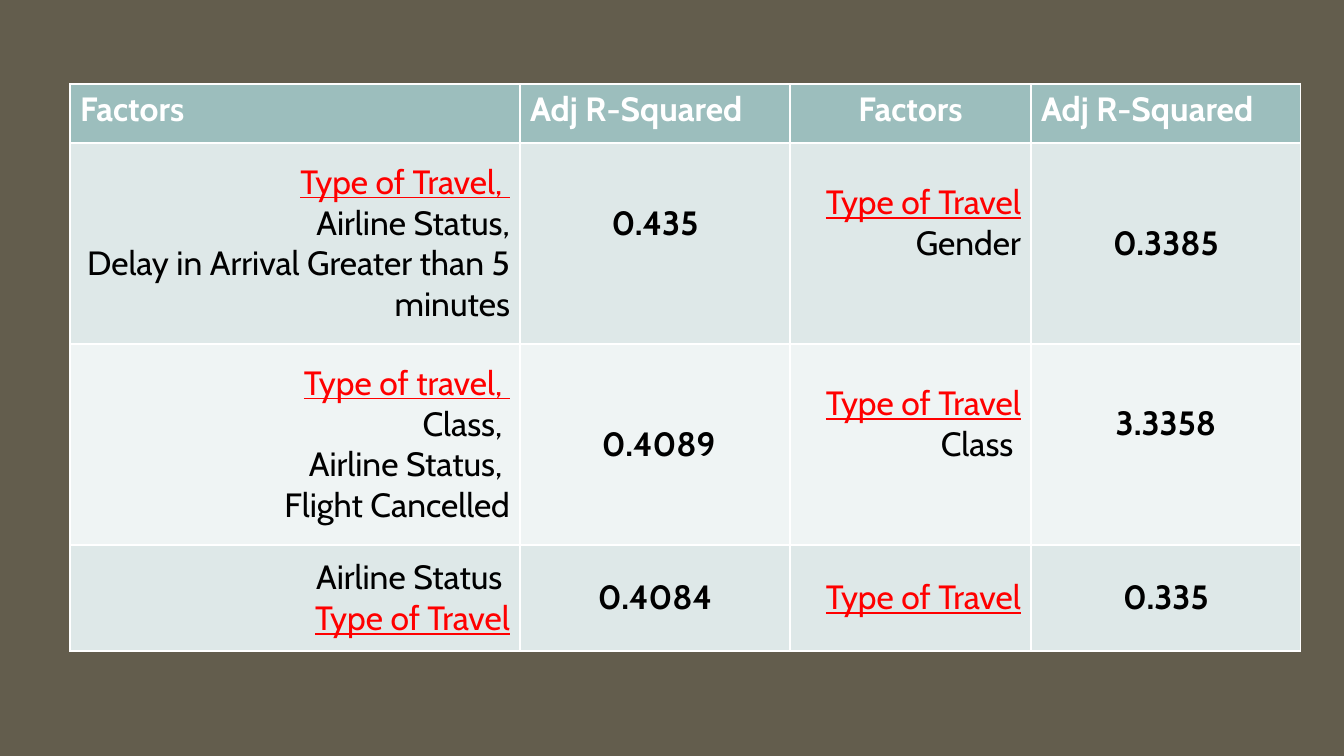
from lxml import etree
from pptx import Presentation
from pptx import util as u
from pptx.dml.color import RGBColor
from pptx.enum import text
from pptx.oxml.ns import qn

PX = 914400 / 100.8
COLORS = {"back": "635D4D", "head": "9CBEBD", "band": "DEE8E8", "pale": "EFF4F4",
          "white": "FFFFFF", "black": "000000", "red": "FF0000"}
LEFT, MID, RIGHT = text.PP_ALIGN.LEFT, text.PP_ALIGN.CENTER, text.PP_ALIGN.RIGHT
LINE = 41


def px(n):
    return u.Emu(round(n * PX))


def write(para, words, color="black", bold=False, under=False, align=LEFT):
    para.alignment = align
    run = para.add_run()
    run.text = words
    font = run.font
    font.name, font.size = "Cabin", u.Pt(24)
    font.bold, font.underline = bold, under
    font.color.rgb = RGBColor.from_string(COLORS[color])


deck = Presentation()
deck.slide_width, deck.slide_height = px(1344), px(756)
slide = deck.slides.add_slide(deck.slide_layouts[6])
slide.background.fill.solid()
slide.background.fill.fore_color.rgb = RGBColor.from_string(COLORS["back"])

rows = [
    [["Factors"], ["Adj R-Squared"], ["Factors"], ["Adj R-Squared"]],
    [["Type of Travel, ", "Airline Status,", "Delay in Arrival Greater than 5 minutes"],
     ["0.435"], ["Type of Travel", "Gender"], ["0.3385"]],
    [["Type of travel, ", "Class, ", "Airline Status, ", "Flight Cancelled"],
     [" 0.4089"], ["Type of Travel", "Class "], ["3.3358"]],
    [["Airline Status ", "Type of Travel"], ["0.4084"], ["Type of Travel"], ["0.335"]],
]
widths = [450, 270, 241, 270]
heights = [59, 201, 201, 106]
fills = ["head", "band", "pale", "band"]
raised = {(1, 1), (1, 2), (2, 2), (2, 3)}  # cells whose text sits half a line high

grid = slide.shapes.add_table(4, 4, px(70), px(84), px(sum(widths)), px(sum(heights))).table
for col, width in zip(grid.columns, widths):
    col.width = px(width)
for row, height in zip(grid.rows, heights):
    row.height = px(height)

for r, row in enumerate(rows):
    for c, lines in enumerate(row):
        cell = grid.cell(r, c)
        thick = {"lnL": c == 2, "lnR": c == 1, "lnT": r == 1, "lnB": r == 0}
        for side, heavy in thick.items():
            edge = etree.SubElement(cell._tc.get_or_add_tcPr(), qn("a:" + side),
                                    w=str(u.Pt(2.25 if heavy else 1)))
            paint = etree.SubElement(edge, qn("a:solidFill"))
            etree.SubElement(paint, qn("a:srgbClr"), val=COLORS["white"])
        cell.fill.solid()
        cell.fill.fore_color.rgb = RGBColor.from_string(COLORS[fills[r]])
        cell.vertical_anchor = text.MSO_ANCHOR.MIDDLE if r else text.MSO_ANCHOR.TOP
        if (r, c) in raised:
            cell.margin_bottom = px(5 + LINE)
        frame = cell.text_frame
        for i, words in enumerate(lines):
            para = frame.add_paragraph() if i else frame.paragraphs[0]
            if r == 0:
                write(para, words, color="white", bold=True, align=MID if c == 2 else LEFT)
            elif c % 2:
                write(para, words, bold=True, align=MID)
            else:
                key = words.startswith("Type")
                write(para, words, color="red" if key else "black", under=key, align=RIGHT)

deck.save("out.pptx")
